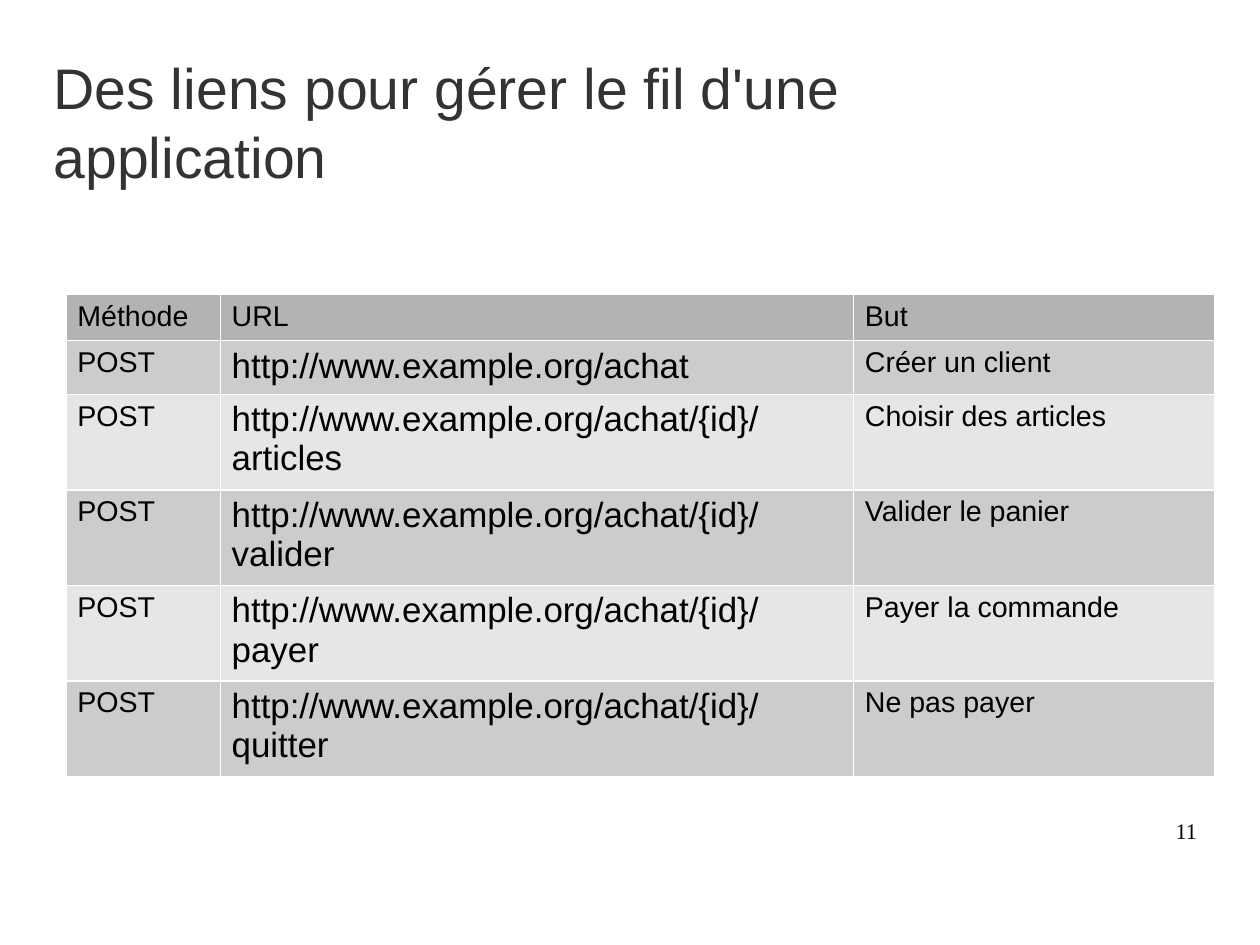
from pptx import Presentation
from pptx.dml.color import RGBColor
from pptx.enum.text import MSO_ANCHOR as Anchor, PP_ALIGN as Align
from pptx.util import Cm, Pt

BLACK = RGBColor(0x00, 0x00, 0x00)
DARK = RGBColor(0x33, 0x33, 0x33)
HEAD = RGBColor(0xB3, 0xB3, 0xB3)
ODD = RGBColor(0xCC, 0xCC, 0xCC)
EVEN = RGBColor(0xE6, 0xE6, 0xE6)

BASE = "http://www.example.org/achat"
STEPS = [
    ("", "Créer un client"),
    ("/{id}/articles", "Choisir des articles"),
    ("/{id}/valider", "Valider le panier"),
    ("/{id}/payer", "Payer la commande"),
    ("/{id}/quitter", "Ne pas payer"),
]
WIDTHS = [3.43, 14.07, 8.03]
HEIGHTS = [1.02, 1.18] + [2.12] * 4


def style(frame, size, color=BLACK, name="Arial"):
    for para in frame.paragraphs:
        for run in para.runs:
            run.font.size = Pt(size)
            run.font.name = name
            run.font.color.rgb = color


def add_text(slide, box, text, size, color, name, align, anchor):
    frame = slide.shapes.add_textbox(*map(Cm, box)).text_frame
    frame.word_wrap = True
    frame.margin_left = frame.margin_right = 0
    frame.margin_top = frame.margin_bottom = 0
    frame.vertical_anchor = anchor
    frame.text = text
    frame.paragraphs[0].alignment = align
    style(frame, size, color, name)


def fill_cell(cell, text, size, color):
    cell.fill.solid()
    cell.fill.fore_color.rgb = color
    cell.margin_left = cell.margin_right = Cm(0.25)
    cell.margin_top = cell.margin_bottom = Cm(0.13)
    cell.text_frame.text = text
    style(cell.text_frame, size)


def add_grid(slide, left, top):
    rows = [("Méthode", "URL", "But")]
    rows += [("POST", BASE + end, goal) for end, goal in STEPS]
    table = slide.shapes.add_table(
        len(rows), len(WIDTHS), Cm(left), Cm(top),
        Cm(sum(WIDTHS)), Cm(sum(HEIGHTS))).table
    for col, width in zip(table.columns, WIDTHS):
        col.width = Cm(width)
    for i, (row, height) in enumerate(zip(rows, HEIGHTS)):
        table.rows[i].height = Cm(height)
        color = HEAD if i == 0 else ODD if i % 2 else EVEN
        for j, text in enumerate(row):
            size = 22 if i and j == 1 else 18
            fill_cell(table.cell(i, j), text, size, color)


def main():
    deck = Presentation()
    deck.slide_width, deck.slide_height = Cm(28), Cm(21)
    slide = deck.slides.add_slide(deck.slide_layouts[6])
    add_text(slide, (1.19, 1.27, 19.61, 2.84),
             "Des liens pour gérer le fil d'une application",
             36, DARK, "Arial", Align.LEFT, Anchor.MIDDLE)
    add_grid(slide, 1.47, 6.55)
    add_text(slide, (20.07, 18.16, 6.53, 1.45), "11",
             14, BLACK, "Times New Roman", Align.RIGHT, Anchor.TOP)
    deck.save("out.pptx")


if __name__ == "__main__":
    main()
